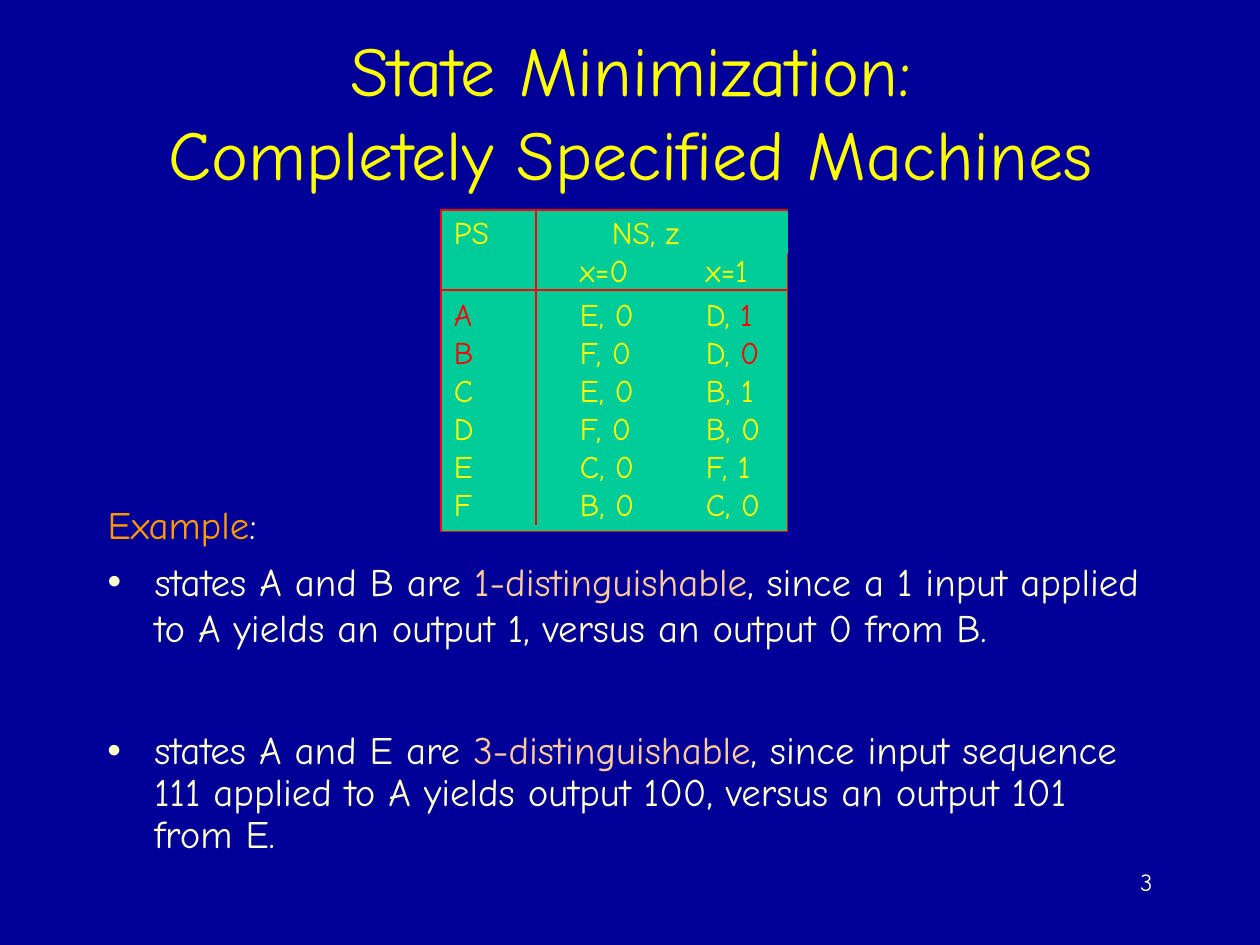
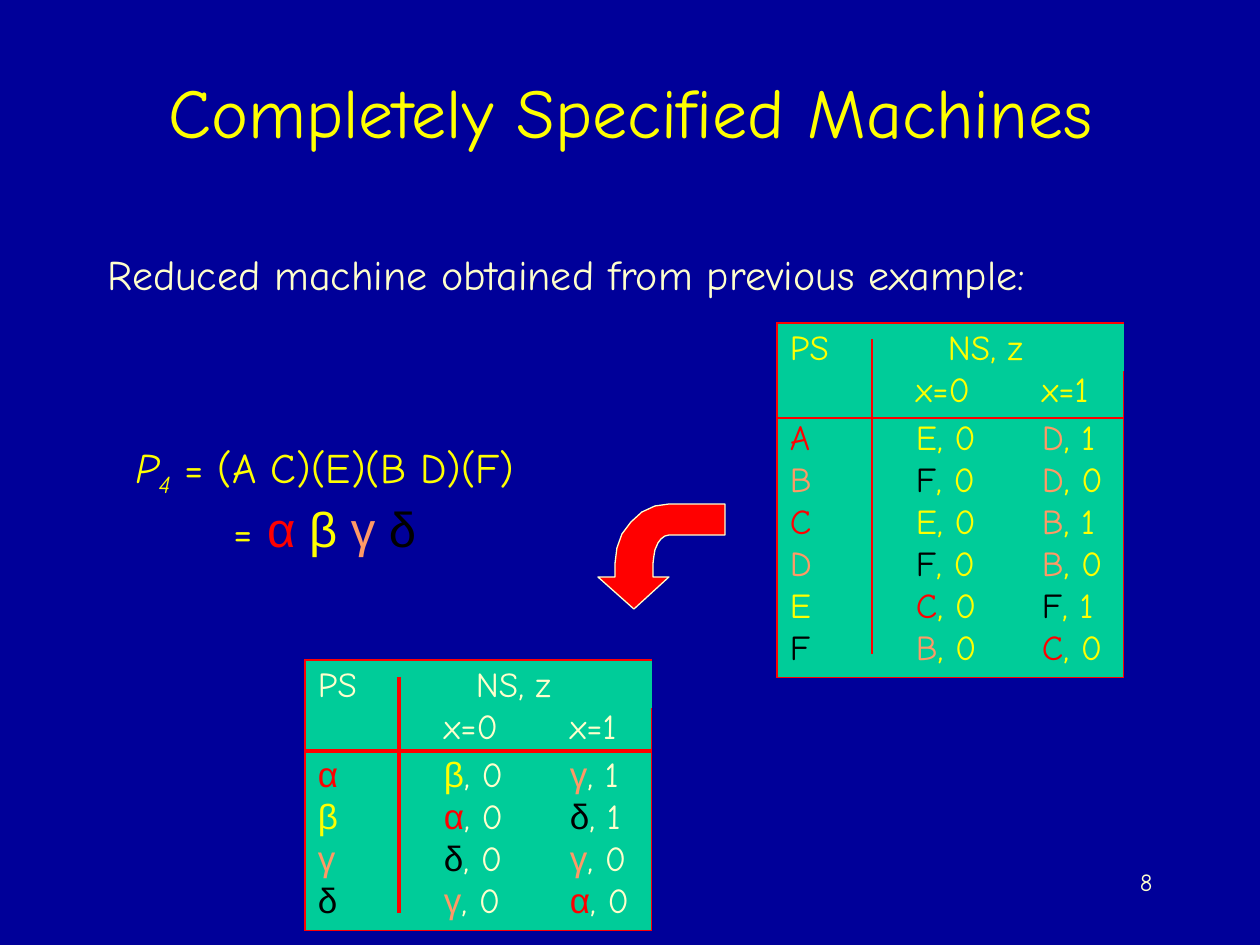
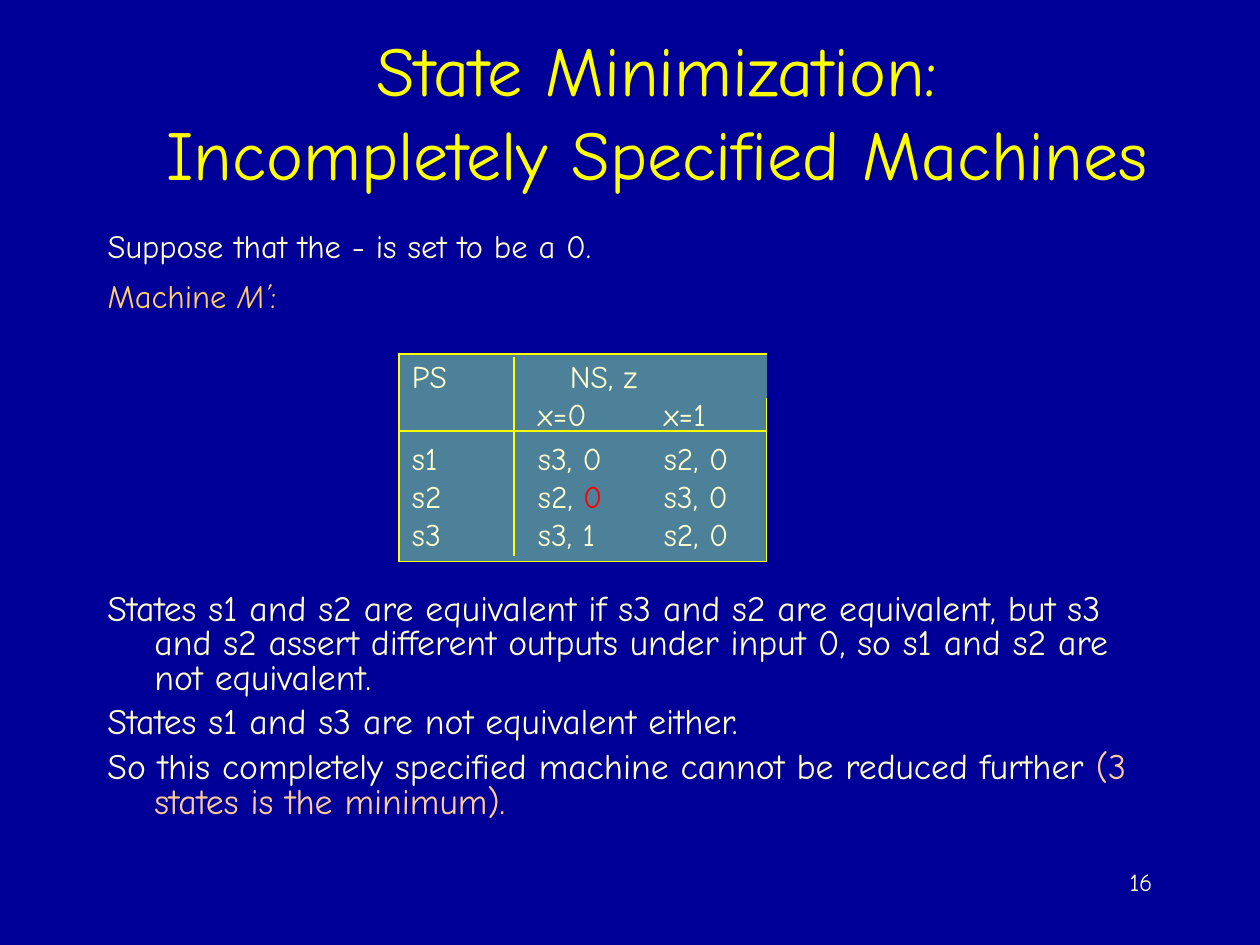
import math
import pptx
import pptx.util
import pptx.dml.color
import pptx.enum.shapes
import pptx.enum.text
import pptx.oxml.ns
import lxml.etree

PX = 7257
FACE = "Comic Neue"
NAVY, GREEN, SLATE = "000099", "00CC99", "4D8099"
GOLD, CREAM, RED, BLACK = "FFFF00", "FFFFCC", "FF0000", "000000"
ROSE, PEACH, SAND, AMBER = "FF9966", "FFCC99", "FFCC66", "FF9900"
GREEK = "αβγδ"
ALIGN = pptx.enum.text.PP_ALIGN
ANCHOR = pptx.enum.text.MSO_ANCHOR
qn = pptx.oxml.ns.qn


def paint(part, tint):
    if hasattr(part, "solid"):
        part.solid()
        part = part.fore_color
    part.rgb = pptx.dml.color.RGBColor.from_string(tint)


def write(para, bits, size):
    for text, tint in bits:
        run = para.add_run()
        run.text = text
        run.font.size = pptx.util.Pt(size)
        run.font.name = "Arial" if text.strip() in tuple(GREEK) else FACE
        paint(run.font.color, tint)


deck = pptx.Presentation()
deck.slide_width = pptx.util.Inches(10)
deck.slide_height = pptx.util.Inches(7.5)
paint(deck.slide_master.background.fill, NAVY)

heads = [
    ("State Minimization:\vCompletely Specified Machines", 1071, "3"),
    ("Completely Specified Machines", 1071, "8"),
    ("State Minimization:\vIncompletely Specified Machines", 1124, "16"),
]
slides = []
for head, wide, num in heads:
    slide = deck.slides.add_slide(deck.slide_layouts[1])
    slides.append(slide)
    title = slide.shapes.title
    title.left, title.top, title.width, title.height = [n * PX for n in (95, 32, wide, 158)]
    frame = title.text_frame
    frame.auto_size = pptx.enum.text.MSO_AUTO_SIZE.NONE
    frame.vertical_anchor = ANCHOR.MIDDLE
    para = frame.paragraphs[0]
    para.text = head
    para.alignment = ALIGN.CENTER
    for run in para.runs:
        run.font.size = pptx.util.Pt(40)
        run.font.name = FACE
        paint(run.font.color, GOLD)
    foot = slide.shapes.add_textbox(*[n * PX for n in (903, 861, 262, 63)])
    foot.text_frame.word_wrap = True
    para = foot.text_frame.paragraphs[0]
    para.alignment = ALIGN.RIGHT
    write(para, [(num, CREAM)], 14)

lists = [
    (0, True, (95, 494, 1071, 220), 22.2, 1, [
        ("", [("Example", AMBER), (":", CREAM)]),
        ("•", [("states A and B are ", CREAM), ("1-distinguishable", PEACH),
               (", since a 1 input applied to A yields an output 1, versus an output 0 from B.", CREAM)]),
    ]),
    (0, False, (95, 725, 1071, 158), 22.2, 0.9, [
        ("•", [("states A and E are ", CREAM), ("3-distinguishable", PEACH),
               (", since input sequence 111 applied to A yields output 100, versus an output 101 from E.", CREAM)]),
    ]),
    (1, True, (95, 242, 1071, 73), 24, 1, [
        ("", [("Reduced machine obtained from previous example:", CREAM)]),
    ]),
    (2, True, (95, 220, 1071, 105), 18.6, 1, [
        ("", [("Suppose that the - is set to be a 0.", CREAM)]),
        ("", [("Machine ", SAND), ("M’", SAND), (":", SAND)]),
    ]),
    (2, False, (95, 588, 1071, 284), 20.4, 0.8, [
        ("", [("States s1 and s2 are equivalent if s3 and s2 are equivalent, but s3 and s2 assert "
               "different outputs under input 0, so s1 and s2 are not equivalent.", CREAM)]),
        ("", [("States s1 and s3 are not equivalent either.", CREAM)]),
        ("", [("So this completely specified machine cannot be reduced further ", CREAM),
              ("(3 states is the minimum).", PEACH)]),
    ]),
]
for page, main, box, size, lead, items in lists:
    slide = slides[page]
    box = [n * PX for n in box]
    if main:
        shape = slide.placeholders[1]
        shape.left, shape.top, shape.width, shape.height = box
    else:
        shape = slide.shapes.add_textbox(*box)
    frame = shape.text_frame
    frame.word_wrap = True
    frame.auto_size = pptx.enum.text.MSO_AUTO_SIZE.NONE
    frame.vertical_anchor = ANCHOR.TOP
    for i, (dot, bits) in enumerate(items):
        para = frame.add_paragraph() if i else frame.paragraphs[0]
        write(para, bits, size)
        para.space_before = pptx.util.Pt(6)
        para.line_spacing = lead
        props = para._p.get_or_add_pPr()
        props.set("marL", str(47 * PX))
        props.set("indent", str(-47 * PX))
        if dot:
            tint = lxml.etree.SubElement(props, qn("a:buClr"))
            lxml.etree.SubElement(tint, qn("a:srgbClr")).set("val", CREAM)
            lxml.etree.SubElement(props, qn("a:buFont")).set("typeface", "Arial")
            lxml.etree.SubElement(props, qn("a:buChar")).set("char", dot)
        else:
            lxml.etree.SubElement(props, qn("a:buNone"))
        for run in para.runs:
            if run.text == "M’":
                run.font.italic = True

shapes = slides[1].shapes
note = shapes.add_textbox(*[n * PX for n in (123, 435, 404, 129)])
frame = note.text_frame
frame.word_wrap = False
para = frame.paragraphs[0]
para.alignment = ALIGN.CENTER
write(para, [("P", GOLD), ("4", GOLD), (" = (A C)(E)(B D)(F)", GOLD)], 24)
for run in para.runs[:2]:
    run.font.italic = True
para.runs[1].font._element.set("baseline", "-25000")
para = frame.add_paragraph()
para.alignment = ALIGN.CENTER
write(para, [("= ", GOLD)], 24)
write(para, [("α ", RED), ("β ", GOLD), ("γ ", ROSE), ("δ", BLACK)], 28)

turns = [math.radians(90 + 15 * n) for n in range(7)]
outer = [(669 + 54 * math.cos(t), 564 - 60 * math.sin(t)) for t in turns]
inner = [(669 + 16 * math.cos(t), 564 - 29 * math.sin(t)) for t in reversed(turns)]
tip = [(615, 577), (598, 577), (634, 609), (669, 577), (653, 577)]
path = shapes.build_freeform(725, 504, scale=PX)
path.add_line_segments(outer + tip + inner + [(725, 535)], close=True)
arrow = path.convert_to_shape()
arrow.shadow.inherit = False
paint(arrow.fill, RED)
paint(arrow.line.fill, CREAM)
arrow.line.width = pptx.util.Pt(0.75)

class_tints = dict(zip("ABCDEF" + GREEK, (RED, ROSE, RED, ROSE, GOLD, BLACK, RED, GOLD, ROSE, BLACK)))
grids = [
    (0, (441, 210, 347), 18, 38, 6, GREEN, GOLD, RED, 0.75, (536, 210, 525), 290, {},
     "A|E, 0|D, 1 B|F, 0|D, 0 C|E, 0|B, 1 D|F, 0|B, 0 E|C, 0|F, 1 F|B, 0|C, 0",
     [(2, 0, 0), (3, 0, 0), (2, 2, 2), (3, 2, 2)]),
    (1, (305, 660, 347), 20, 42, 6, GREEN, CREAM, RED, 2.25, (399, 677, 913), 751, class_tints,
     "α|β, 0|γ, 1 β|α, 0|δ, 1 γ|δ, 0|γ, 0 δ|γ, 0|α, 0", []),
    (1, (777, 323, 347), 20, 42, 6, GREEN, GOLD, RED, 0.75, (872, 339, 654), 418, class_tints,
     "A|E, 0|D, 1 B|F, 0|D, 0 C|E, 0|B, 1 D|F, 0|B, 0 E|C, 0|F, 1 F|B, 0|C, 0", []),
    (2, (399, 354, 368), 18, 38, 6, SLATE, CREAM, GOLD, 0.75, (514, 357, 556), 431, {},
     "s1|s3, 0|s2, 0 s2|s2, 0|s3, 0 s3|s3, 1|s2, 0", [(3, 1, 2)]),
]
for page, (left, top, wide), size, pitch, pad, fill, ink, edge, thick, stem, rule, tints, body, hot in grids:
    shapes = slides[page].shapes
    rows = [["PS", "NS, z", ""], ["", "x=0", "x=1"]]
    for line in body.replace(", ", ",").split():
        rows.append(line.replace(",", ", ").split("|"))
    last = len(rows) - 1
    high = len(rows) * pitch + 2 * pad
    grid = shapes.add_table(len(rows), 3, left * PX, top * PX, wide * PX, high * PX).table
    grid.first_row = grid.horz_banding = False
    grid._tbl.tblPr.find(qn("a:tableStyleId")).text = "{2D5ABB26-0587-4C30-8999-92F81FD0307C}"
    for col, span in zip(grid.columns, (126, 126, wide - 252)):
        col.width = span * PX
    for r, row in enumerate(rows):
        grid.rows[r].height = (pitch + (pad if r in (0, last) else 0)) * PX
        for c, text in enumerate(row):
            cell = grid.cell(r, c)
            paint(cell.fill, fill)
            cell.vertical_anchor = ANCHOR.TOP
            cell.margin_left = (45 if text == "NS, z" else 13) * PX
            cell.margin_top = (0 if r else pad) * PX
            cell.margin_right = cell.margin_bottom = 0
            if r < 2:
                bits = [(text, ink)]
            else:
                state, comma, out = text.partition(", ")
                bits = [(state, tints.get(state, ink)), (comma, ink), (out, ink)]
            write(cell.text_frame.paragraphs[0], [bit for bit in bits if bit[0]], size)
            sides = [("a:lnL", c == 0), ("a:lnR", c == 2), ("a:lnT", r == 0), ("a:lnB", r == last)]
            props = cell._tc.get_or_add_tcPr()
            for spot, (tag, on) in enumerate(sides):
                line = lxml.etree.Element(qn(tag), w=str(pptx.util.Pt(0.75)))
                if on:
                    solid = lxml.etree.SubElement(line, qn("a:solidFill"))
                    lxml.etree.SubElement(solid, qn("a:srgbClr")).set("val", edge)
                else:
                    lxml.etree.SubElement(line, qn("a:noFill"))
                props.insert(spot, line)
    for r, c, n in hot:
        paint(grid.cell(r, c).text_frame.paragraphs[0].runs[n].font.color, RED)
    grid.cell(0, 0).merge(grid.cell(1, 0))
    grid.cell(0, 1).merge(grid.cell(0, 2))
    x, start, end = stem
    for ends in ((x, start, x, end), (left, rule, left + wide, rule)):
        line = shapes.add_connector(pptx.enum.shapes.MSO_CONNECTOR.STRAIGHT, *[n * PX for n in ends])
        paint(line.line.fill, edge)
        line.line.width = pptx.util.Pt(thick)
        lxml.etree.SubElement(line._element.spPr, qn("a:effectLst"))

deck.save("out.pptx")
